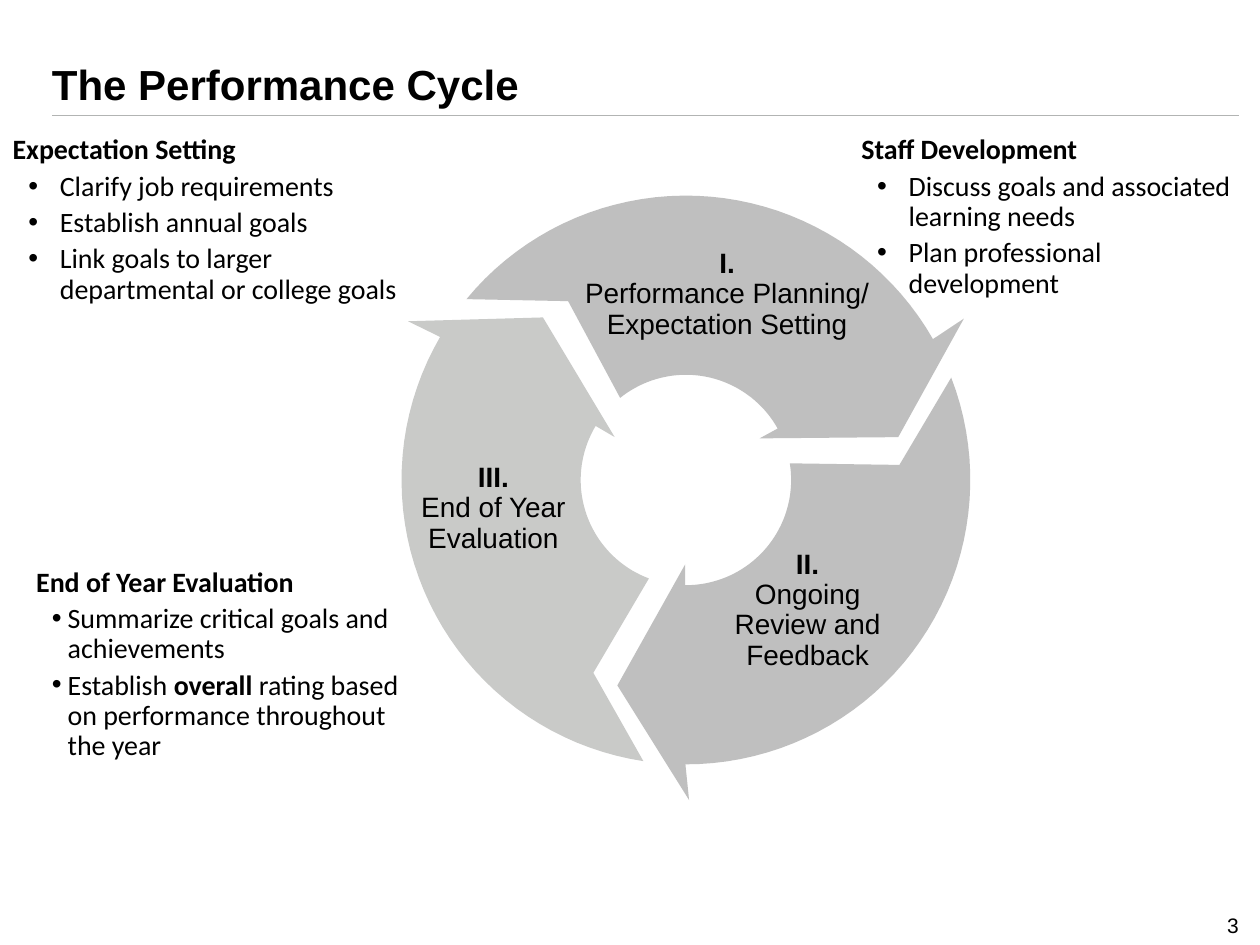
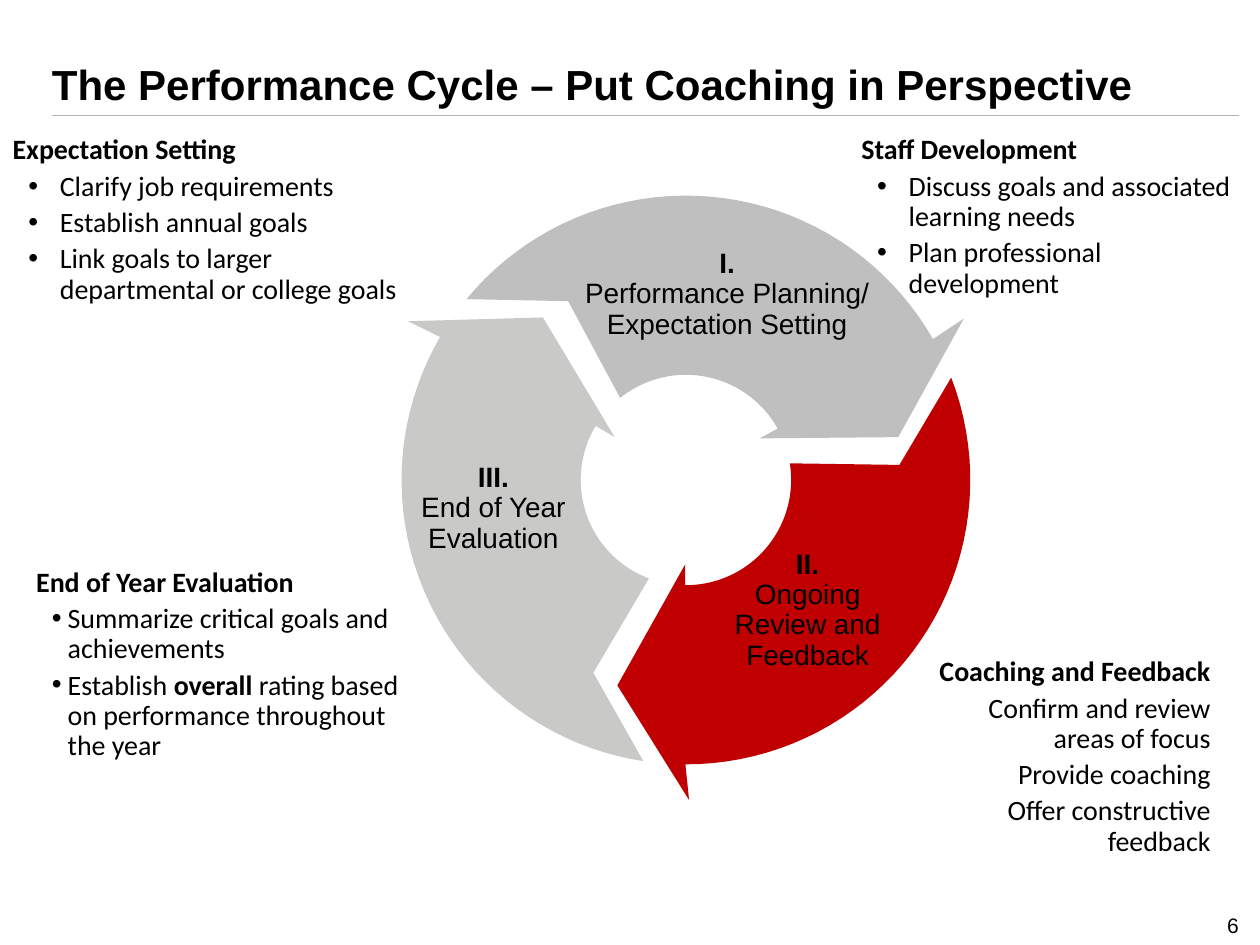
from dataclasses import dataclass
from math import cos, radians, sin

from lxml.etree import SubElement
from pptx import Presentation
from pptx.dml.color import RGBColor
from pptx.enum.text import MSO_ANCHOR, MSO_AUTO_SIZE, PP_ALIGN
from pptx.oxml.ns import qn
from pptx.util import Pt


@dataclass(frozen=True)
class Theme:
    ink: str = "000000"
    rule: str = "B2B4B3"
    gray: str = "BFBFBF"
    light_gray: str = "C9CAC8"
    red: str = "C00000"
    heading_font: str = "Arial"
    list_font: str = "Calibri"
    title_size: float = 24
    text_size: float = 16
    number_size: float = 12
    line_spacing: float = 0.9
    space_before: float = 3.5


@dataclass(frozen=True)
class Segment:
    """Arcs are (start, end) in degrees, corners are offsets from the ring centre."""
    outer: tuple
    head: tuple
    inner: tuple
    notch: tuple
    fill: str
    label_box: tuple
    label: tuple


@dataclass(frozen=True)
class Topic:
    """Indents are (left margin, first line) pairs."""
    box: tuple
    heading: str
    items: tuple
    heading_indent: tuple = (0, 0)
    item_indent: tuple = (27, -18)
    bullet: str = "•"
    align: PP_ALIGN = PP_ALIGN.LEFT


THEME = Theme()
COMPARISON_LAYOUT = 4

TITLE_BOX = (22.5, 6.5, 684, 59.5)
NUMBER_BOX = (565, 515.5, 150, 24)
RING_BOX = (229.5, 111.8, 325, 325)
INNER_RATIO = 0.37
ARC_STEPS = 40

SEGMENTS = (
    Segment((219.5, 330.3), ((158.8, -92.2), (121.3, -24.5), (42.1, -23.8)),
            (330.7, 231.3), (-67.3, -102.2), THEME.gray,
            (92.5, 27.2, 187, 59), ("I.", "Performance Planning/ Expectation Setting")),
    Segment((-21.1, 90.1), ((1.8, 182.9), (-39.2, 117.4), (-0.4, 48.2)),
            (90.4, -9.1), (122, -8.6), THEME.gray,
            (173, 199.2, 118, 77), ("II.", "Ongoing Review and Feedback")),
    Segment((98.6, 210.2), ((-158.8, -90.7), (-81.7, -92.9), (-40.7, -24.5)),
            (210.9, 110.6), (-52.9, 110.2), THEME.light_gray,
            (0.2, 149.5, 104.5, 59), ("III.", "End of Year Evaluation")),
)

# Asterisks enclose bold words.
EXPECTATIONS = Topic(
    (0, 74, 255, 124.5), "Expectation Setting",
    ("Clarify job requirements", "Establish annual goals",
     "Link goals to larger departmental or college goals"))
STAFF = Topic(
    (485, 74, 235, 172), "Staff Development",
    ("Discuss goals and associated learning needs", "Plan professional development"))
EVALUATION = Topic(
    (13.5, 321, 228, 150.5), "End of Year Evaluation",
    ("Summarize critical goals and achievements",
     "Establish *overall* rating based on performance throughout the year"),
    heading_indent=(18, -18), item_indent=(18, -9))
COACHING = Topic(
    (486, 372.2, 213, 149), "Coaching and Feedback",
    ("Confirm and review areas of focus", "Provide coaching", "Offer constructive feedback"),
    heading_indent=(58.5, -22.5), item_indent=(58.5, -22.5),
    bullet="", align=PP_ALIGN.RIGHT)


def move(shape, box):
    shape.left, shape.top, shape.width, shape.height = (Pt(v) for v in box)


def format_frame(tf, anchor=MSO_ANCHOR.TOP):
    tf.word_wrap = True
    tf.auto_size = MSO_AUTO_SIZE.NONE
    tf.vertical_anchor = anchor


def format_paragraph(p, font, size, bold=False, align=PP_ALIGN.LEFT, before=0):
    p.alignment = align
    p.line_spacing = THEME.line_spacing
    p.space_before = Pt(before)
    p.space_after = Pt(0)
    for r in p.runs:
        r.font.name = font
        r.font.size = Pt(size)
        r.font.bold = bold
        r.font.color.rgb = RGBColor.from_string(THEME.ink)


def set_bullet(p, indent, char):
    pPr = p._p.get_or_add_pPr()
    margin, first_line = indent
    pPr.set("marL", str(Pt(margin)))
    pPr.set("indent", str(Pt(first_line)))
    if char:
        SubElement(pPr, qn("a:buFont"), typeface="Arial")
        SubElement(pPr, qn("a:buChar"), char=char)
    else:
        SubElement(pPr, qn("a:buNone"))


def add_header(s, title):
    shape = s.shapes.title
    move(shape, TITLE_BOX)
    tf = shape.text_frame
    format_frame(tf, MSO_ANCHOR.BOTTOM)
    tf.text = title
    format_paragraph(tf.paragraphs[0], THEME.heading_font, THEME.title_size, bold=True)

    left, top, width, height = TITLE_BOX
    y = Pt(top + height)
    rule = s.shapes.add_connector(1, Pt(left + 7.5), y, Pt(left + width + 1.5), y)
    rule.line.color.rgb = RGBColor.from_string(THEME.rule)
    rule.line.width = Pt(0.25)
    SubElement(rule._element.spPr, qn("a:effectLst"))


def add_page_number(s, number):
    sp = s.shapes.add_textbox(*(Pt(v) for v in NUMBER_BOX))
    tf = sp.text_frame
    format_frame(tf, MSO_ANCHOR.BOTTOM)
    tf.text = str(number)
    p = tf.paragraphs[0]
    format_paragraph(p, THEME.heading_font, THEME.number_size, align=PP_ALIGN.RIGHT)
    p.line_spacing = 1.0


def arc_points(radius, start, end):
    angles = (radians(start + (end - start) * i / ARC_STEPS) for i in range(ARC_STEPS + 1))
    return [(radius * cos(a), radius * sin(a)) for a in angles]


def add_segment(shapes, box, segment, fill):
    left, top, width, height = box
    cx, cy, radius = left + width / 2, top + height / 2, width / 2
    outline = [*arc_points(radius, *segment.outer), *segment.head,
               *arc_points(radius * INNER_RATIO, *segment.inner), segment.notch]
    points = [(Pt(cx + x), Pt(cy + y)) for x, y in outline]
    builder = shapes.build_freeform(*points[0])
    builder.add_line_segments(points[1:], close=True)
    sp = builder.convert_to_shape()
    sp.shadow.inherit = False
    sp.fill.solid()
    sp.fill.fore_color.rgb = RGBColor.from_string(fill)
    sp.line.fill.background()


def add_segment_label(s, box, segment):
    x, y, width, height = segment.label_box
    sp = s.shapes.add_textbox(Pt(box[0] + x), Pt(box[1] + y), Pt(width), Pt(height))
    tf = sp.text_frame
    format_frame(tf)
    tf.text = "\n".join(segment.label)
    for i, p in enumerate(tf.paragraphs):
        format_paragraph(p, THEME.heading_font, THEME.text_size,
                         bold=i == 0, align=PP_ALIGN.CENTER)


def add_cycle(s, box, highlight):
    """Draw the ring of arrows; highlight is the index of the red one, or None."""
    ring = s.shapes.add_group_shape()
    for i, segment in enumerate(SEGMENTS):
        add_segment(ring.shapes, box, segment, THEME.red if i == highlight else segment.fill)
    for segment in SEGMENTS:
        add_segment_label(s, box, segment)


def fill_topic(shape, topic):
    move(shape, topic.box)
    tf = shape.text_frame
    format_frame(tf)
    tf.text = topic.heading
    p = tf.paragraphs[0]
    format_paragraph(p, THEME.list_font, THEME.text_size, bold=True, align=topic.align)
    set_bullet(p, topic.heading_indent, "")
    for item in topic.items:
        p = tf.add_paragraph()
        pieces = item.split("*")
        for piece in pieces:
            p.add_run().text = piece
        format_paragraph(p, THEME.list_font, THEME.text_size,
                         align=topic.align, before=THEME.space_before)
        for r in p.runs[1::2]:
            r.font.bold = True
        set_bullet(p, topic.item_indent, topic.bullet)


def add_cycle_slide(prs, title, number, topics, highlight=None):
    s = prs.slides.add_slide(prs.slide_layouts[COMPARISON_LAYOUT])
    bodies = [ph for ph in s.placeholders if ph.placeholder_format.idx != 0]
    add_header(s, title)
    add_page_number(s, number)
    add_cycle(s, RING_BOX, highlight)
    for body, topic in zip(bodies, topics):
        fill_topic(body, topic)
    for unused in bodies[len(topics):]:
        unused._element.getparent().remove(unused._element)


def main():
    prs = Presentation()
    prs.slide_width, prs.slide_height = Pt(720), Pt(540)
    topics = (EXPECTATIONS, STAFF, EVALUATION)
    add_cycle_slide(prs, "The Performance Cycle", 3, topics)
    add_cycle_slide(prs, "The Performance Cycle – Put Coaching in Perspective", 6,
                    (*topics, COACHING), highlight=1)
    prs.save("out.pptx")


if __name__ == "__main__":
    main()
